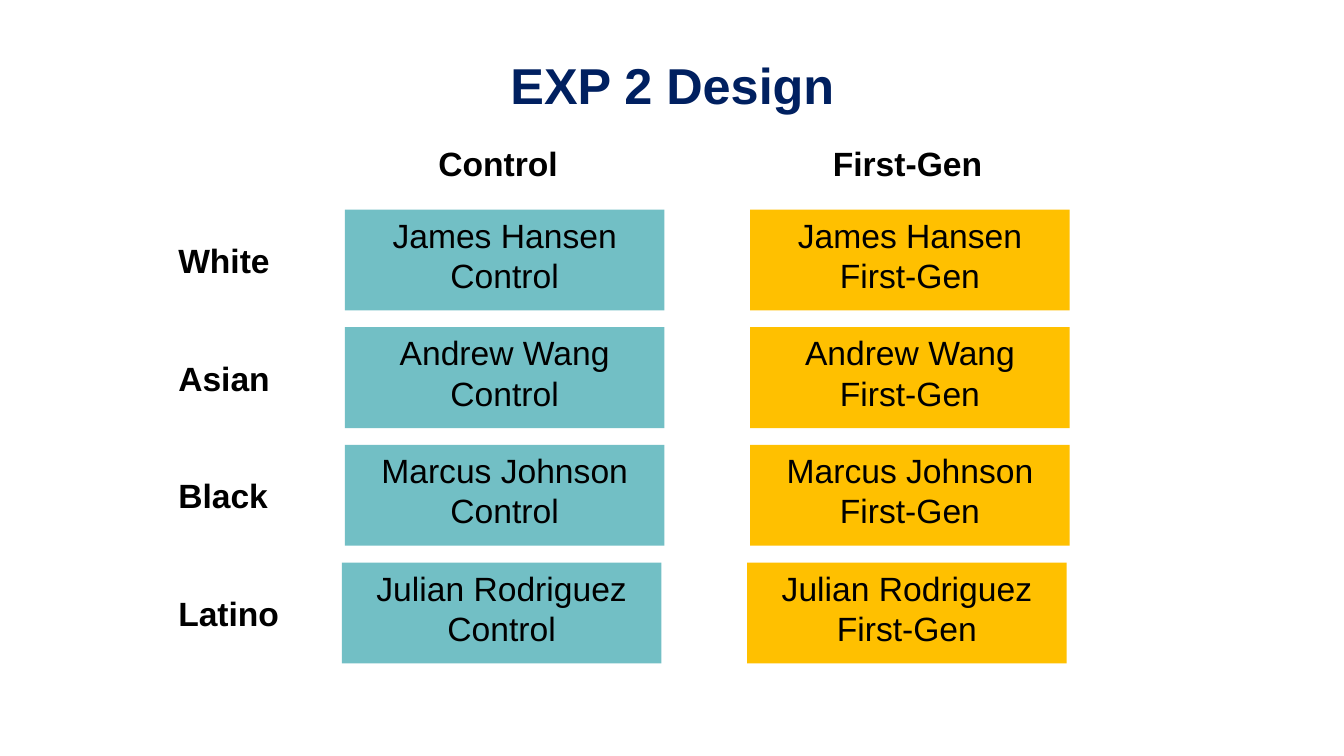
import pptx
import pptx.util
import pptx.dml.color
import pptx.enum.shapes
import pptx.enum.text

Inches = pptx.util.Inches
ALIGN = pptx.enum.text.PP_ALIGN
ANCHOR = pptx.enum.text.MSO_ANCHOR

BODY = {"name": "Arial", "size": pptx.util.Pt(24), "bold": False}
LABEL = {**BODY, "bold": True}
TITLE = {**LABEL, "size": pptx.util.Pt(36)}

NAMES = {
    "White": "James Hansen",
    "Asian": "Andrew Wang",
    "Black": "Marcus Johnson",
    "Latino": "Julian Rodriguez",
}
# group, fill, card left, heading left, heading width, heading alignment
GROUPS = [
    ("Control", "72BFC5", 3.42, 4.25, 1.5, ALIGN.LEFT),
    ("First-Gen", "FFC000", 7.44, 8.04, 1.92, ALIGN.CENTER),
]
TOP, PITCH = 2.08, 1.167
CARD_W, CARD_H = 3.17, 1
LABEL_H = 0.5
LAST_SHIFT = -0.03


def rgb(code):
    return pptx.dml.color.RGBColor.from_string(code)


def write(frame, lines, style, align, anchor=ANCHOR.TOP, color="000000"):
    frame.word_wrap = True
    frame.vertical_anchor = anchor
    frame.text = "\n".join(lines)
    for para in frame.paragraphs:
        para.alignment = align
        for key, value in style.items():
            setattr(para.font, key, value)
        para.font.color.rgb = rgb(color)


def add_title(slide, text, left, top, width, height):
    title = slide.shapes.title
    box = {"left": left, "top": top, "width": width, "height": height}
    for key, value in box.items():
        setattr(title, key, Inches(value))
    write(title.text_frame, [text], TITLE, ALIGN.CENTER, ANCHOR.MIDDLE, "002060")


def add_label(slide, text, left, top, width, align=ALIGN.LEFT):
    box = slide.shapes.add_textbox(
        Inches(left), Inches(top), Inches(width), Inches(LABEL_H))
    write(box.text_frame, [text], LABEL, align)


def add_card(slide, lines, fill, left, top):
    card = slide.shapes.add_shape(
        pptx.enum.shapes.MSO_SHAPE.RECTANGLE,
        Inches(left), Inches(top), Inches(CARD_W), Inches(CARD_H))
    card.shadow.inherit = False
    card.fill.solid()
    card.fill.fore_color.rgb = rgb(fill)
    card.line.fill.background()
    write(card.text_frame, lines, BODY, ALIGN.CENTER)


def add_group(slide, group, fill, left, head_left, head_width, align):
    """Place a heading and its column of cards; the last card sits further left."""
    add_label(slide, group, head_left, 1.37, head_width, align)
    for row, name in enumerate(NAMES.values()):
        shift = LAST_SHIFT if row == len(NAMES) - 1 else 0
        add_card(slide, [name, group], fill, left + shift, TOP + row * PITCH)


def add_races(slide, left, width):
    for row, race in enumerate(NAMES):
        middle = TOP + row * PITCH + CARD_H / 2
        add_label(slide, race, left, middle - LABEL_H / 2, width)


def main():
    deck = pptx.Presentation()
    deck.slide_width, deck.slide_height = Inches(13.33), Inches(7.5)
    slide = deck.slides.add_slide(deck.slide_layouts.get_by_name("Title Only"))
    add_title(slide, "EXP 2 Design", 0.67, 0.5, 12, 0.67)
    for group in GROUPS:
        add_group(slide, *group)
    add_races(slide, 1.67, 1.5)
    deck.save("out.pptx")


if __name__ == "__main__":
    main()
